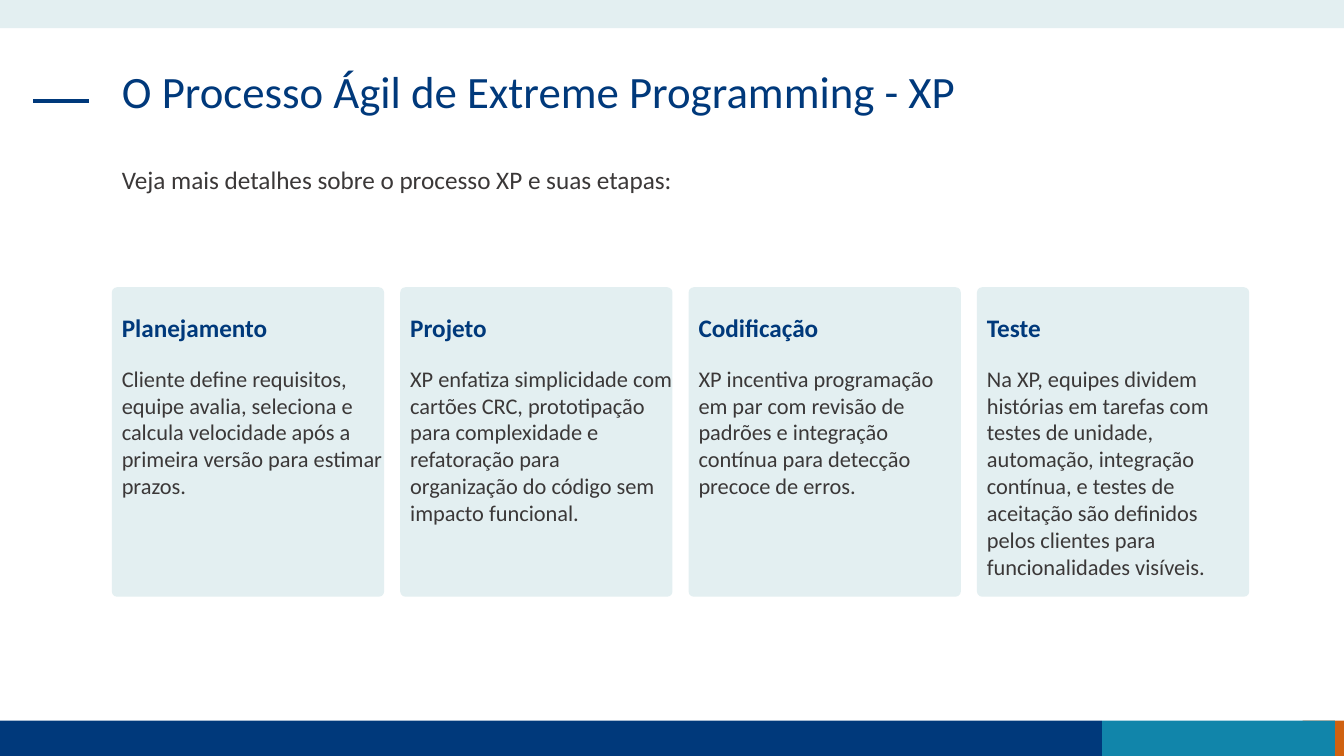
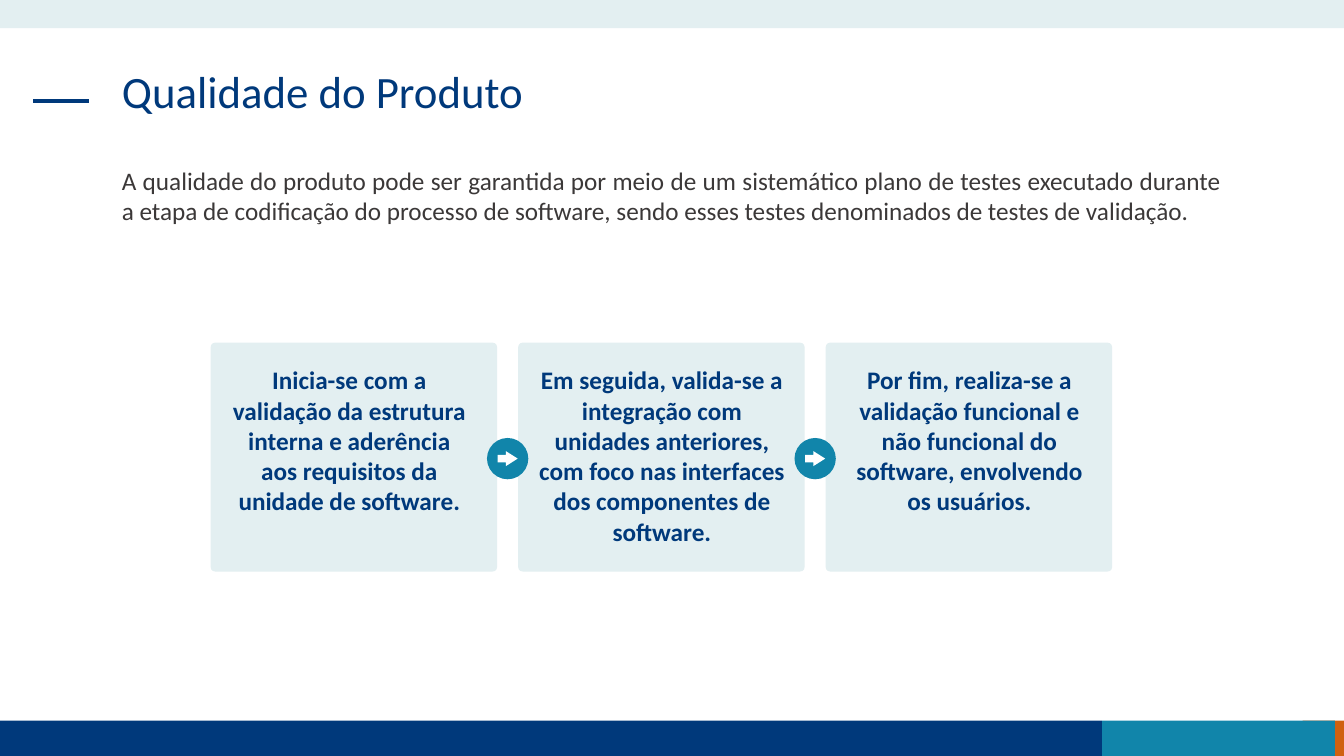
from pptx import Presentation
from pptx.dml.color import RGBColor
from pptx.enum.shapes import MSO_CONNECTOR, MSO_SHAPE as SHAPE
from pptx.enum.text import MSO_ANCHOR as ANCHOR, MSO_AUTO_SIZE as FIT, PP_ALIGN as ALIGN
from pptx.util import Inches, Pt
from lxml import etree

NAVY = RGBColor(0x00, 0x39, 0x7B)
TEAL = RGBColor(0x11, 0x85, 0xAA)
ORANGE = RGBColor(0xD0, 0x61, 0x10)
PALE = RGBColor(0xE3, 0xEF, 0xF1)
GREY = RGBColor(0x3B, 0x38, 0x38)
WHITE = RGBColor(0xFF, 0xFF, 0xFF)

WIDE, HIGH = 13.33, 7.5
LEFT, SPAN = 1.11, 11.1
FOOT = 0.35
TITLE = {"size": Pt(32), "bold": False}
LEAD = {"size": Pt(18), "bold": False}
HEAD = {"size": Pt(18), "bold": True}
BODY = {"size": Pt(16), "bold": False}

STAGES = [
    ("Planejamento", "Cliente define requisitos, equipe avalia, seleciona e calcula "
     "velocidade após a primeira versão para estimar prazos."),
    ("Projeto", "XP enfatiza simplicidade com cartões CRC, prototipação para complexidade "
     "e refatoração para organização do código sem impacto funcional."),
    ("Codificação", "XP incentiva programação em par com revisão de padrões e integração "
     "contínua para detecção precoce de erros."),
    ("Teste", "Na XP, equipes dividem histórias em tarefas com testes de unidade, automação, "
     "integração contínua, e testes de aceitação são definidos pelos clientes para "
     "funcionalidades visíveis."),
]
# Text and the width of its box
STEPS = [
    ("Inicia-se com a validação da estrutura interna e aderência aos requisitos da "
     "unidade de software.", 2.55),
    ("Em seguida, valida-se a integração com unidades anteriores, com foco nas interfaces "
     "dos componentes de software.", 2.65),
    ("Por fim, realiza-se a validação funcional e não funcional do software, envolvendo "
     "os usuários.", 2.65),
]


def add_box(slide, kind, box, fill):
    shape = slide.shapes.add_shape(kind, *map(Inches, box))
    shape.shadow.inherit = False
    shape.fill.solid()
    shape.fill.fore_color.rgb = fill
    shape.line.fill.background()
    return shape


def add_card(slide, box):
    add_box(slide, SHAPE.ROUNDED_RECTANGLE, box, PALE).adjustments[0] = 0.019


def write(frame, text, style, color, align=ALIGN.LEFT, anchor=ANCHOR.TOP):
    frame.word_wrap = True
    frame.auto_size = FIT.NONE
    frame.vertical_anchor = anchor
    para = frame.paragraphs[0]
    para.text = text
    para.alignment = align
    font = para.font
    for name, value in {**style, "name": "Calibri"}.items():
        setattr(font, name, value)
    font.color.rgb = color
    return para


def add_text(slide, box, *args, **more):
    write(slide.shapes.add_textbox(*map(Inches, box)).text_frame, *args, **more)


def add_frame(slide):
    """Draw the bands and the dash beside the title."""
    top = HIGH - FOOT
    for box, fill in [
        ((12.92, top, 0.41, FOOT), ORANGE),
        ((0, top, 10.93, FOOT), NAVY),
        ((10.93, top, 2.31, FOOT), TEAL),
        ((0, 0, WIDE, 0.28), PALE),
    ]:
        add_box(slide, SHAPE.RECTANGLE, box, fill)
    dash = slide.shapes.add_connector(
        MSO_CONNECTOR.STRAIGHT, *map(Inches, (0.33, 1, 0.88, 1)))
    dash.line.color.rgb = NAVY
    dash.line.width = Pt(3)
    props = dash._element.spPr
    etree.SubElement(props, props.ln.tag.replace("}ln", "}effectLst"))


def add_slide(deck, title, lead, high):
    slide = deck.slides.add_slide(deck.slide_layouts[5])
    add_frame(slide)
    head = slide.shapes.title
    head.left, head.top, head.width, head.height = map(Inches, (LEFT, 0.64, SPAN, 0.94))
    write(head.text_frame, title, TITLE, NAVY).line_spacing = 0.9
    add_text(slide, (LEFT, 1.58, SPAN, high), lead, LEAD, GREY,
             align=ALIGN.JUSTIFY, anchor=ANCHOR.MIDDLE)
    return slide


def add_stage(slide, box, name, text):
    left, top, wide, high = box
    add_card(slide, box)
    add_text(slide, (left, top + 0.2, wide, 0.4), name, HEAD, NAVY)
    add_text(slide, (left, top + 0.72, wide + 0.1, high - 0.72), text, BODY, GREY)


def add_step(slide, box, text, span):
    left, top, _, high = box
    add_card(slide, box)
    add_text(slide, (left + 0.1, top + 0.17, span, high - 0.34), text, HEAD, NAVY,
             align=ALIGN.CENTER)


def add_badge(slide, x, y):
    """Draw an arrow in a disc centred on the given point."""
    size, wide, high = 0.41, 0.2, 0.15
    add_box(slide, SHAPE.OVAL, (x - size / 2, y - size / 2, size, size), TEAL)
    arrow = add_box(slide, SHAPE.RIGHT_ARROW, (x - wide / 2, y - high / 2, wide, high), WHITE)
    arrow.adjustments[1] = 0.79


def add_process(deck):
    slide = add_slide(deck, "O Processo Ágil de Extreme Programming - XP",
                      "Veja mais detalhes sobre o processo XP e suas etapas:", 0.4)
    wide, gap = 2.7, 0.16
    for i, (name, text) in enumerate(STAGES):
        add_stage(slide, (LEFT + i * (wide + gap), 2.85, wide, 3.07), name, text)


def add_quality(deck):
    slide = add_slide(deck, "Qualidade do Produto",
                      "A qualidade do produto pode ser garantida por meio de um sistemático "
                      "plano de testes executado durante a etapa de codificação do processo de "
                      "software, sendo esses testes denominados de testes de validação.", 0.71)
    left, top, wide, high, gap = 2.09, 3.4, 2.84, 2.27, 0.21
    for i, (text, span) in enumerate(STEPS):
        add_step(slide, (left + i * (wide + gap), top, wide, high), text, span)
    for i in range(1, len(STEPS)):
        add_badge(slide, left + i * (wide + gap) - gap / 2, top + 1.15)


def main():
    deck = Presentation()
    deck.slide_width, deck.slide_height = Inches(WIDE), Inches(HIGH)
    add_process(deck)
    add_quality(deck)
    deck.save("out.pptx")


if __name__ == "__main__":
    main()
